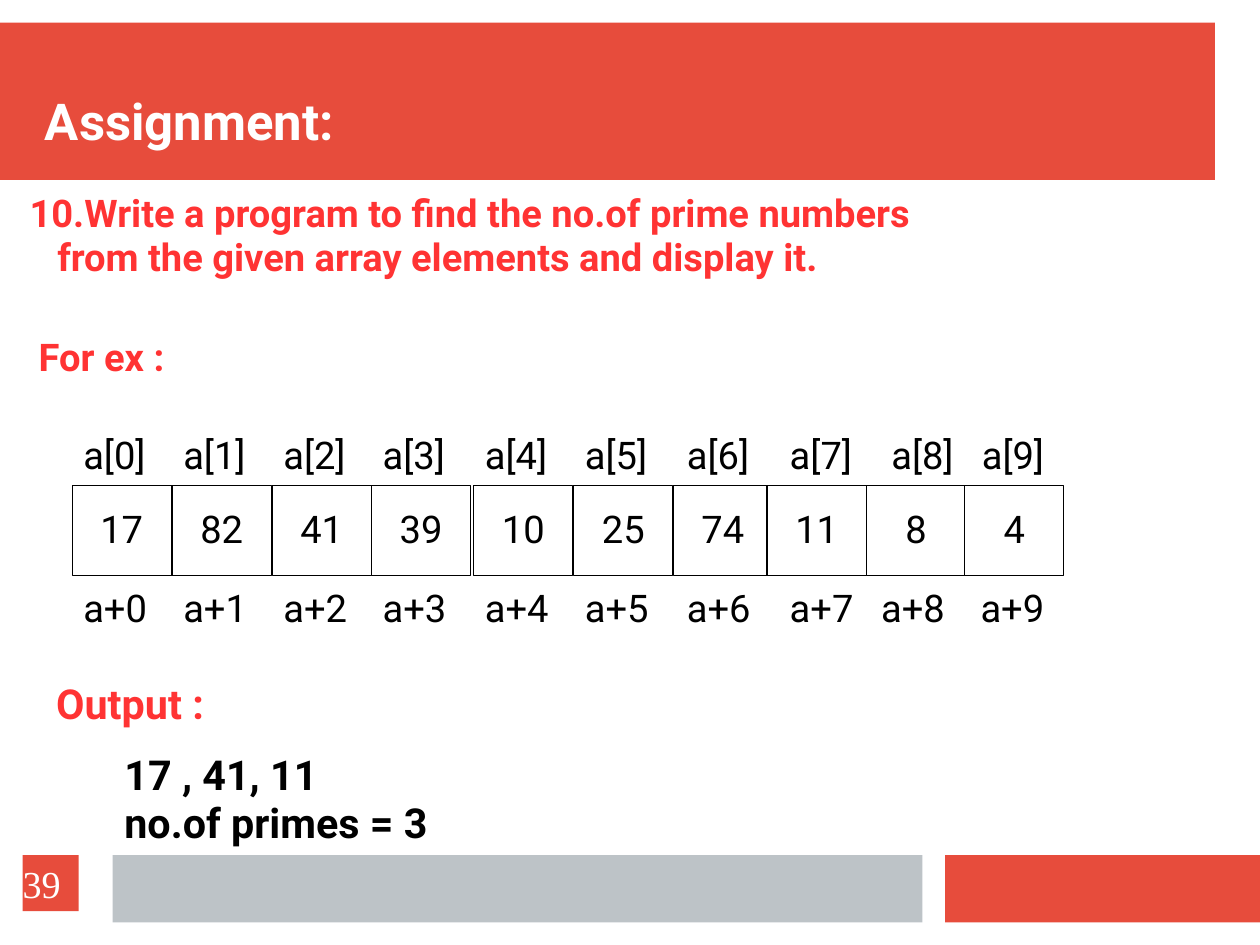
from pptx import Presentation
from pptx import util as u
from pptx.dml.color import RGBColor
from pptx.enum import shapes, text

RED, GREY, ACCENT = "E74C3C", "BDC3C7", "FF3333"
BLACK, WHITE = "000000", "FFFFFF"
CENTER = text.PP_ALIGN.CENTER
MIDDLE, BOTTOM = text.MSO_ANCHOR.MIDDLE, text.MSO_ANCHOR.BOTTOM

VALUES = [17, 82, 41, 39, 10, 25, 74, 11, 8, 4]
CELL_X = [0, 63, 126, 188.6, 253, 316, 378.7, 437.8, 500.4, 562.3]
INDEX_X = CELL_X[:6] + [380.2, 445, 509, 566]
ADDRESS_X = INDEX_X[:8] + [502.6, 565.2]


def color(value):
    return RGBColor.from_string(value)


def write(sp, lines, fmt, inset=(7.2, 3.6), anchor=text.MSO_ANCHOR.TOP,
          align=text.PP_ALIGN.LEFT, spacing=0.97, indents=()):
    tf = sp.text_frame
    dx, dy = map(u.Pt, inset)
    frame = {"word_wrap": True, "vertical_anchor": anchor, "margin_left": dx,
             "margin_right": dx, "margin_top": dy, "margin_bottom": dy}
    for name, value in frame.items():
        setattr(tf, name, value)
    font = {"name": "Roboto", "size": u.Pt(24), "bold": False, **fmt}
    tint = font.pop("color", BLACK)
    for i, line in enumerate(lines):
        p = tf.paragraphs[0] if i == 0 else tf.add_paragraph()
        p.alignment, p.line_spacing = align, spacing
        if i < len(indents):
            p._p.get_or_add_pPr().set("marL", str(u.Pt(indents[i])))
        r = p.add_run()
        r.text = line
        for name, value in font.items():
            setattr(r.font, name, value)
        r.font.color.rgb = color(tint)


def textbox(s, box, lines, fmt, **layout):
    write(s.shapes.add_textbox(*map(u.Pt, box)), lines, fmt, **layout)


def rectangle(s, box, fill, line=None):
    sp = s.shapes.add_shape(shapes.MSO_SHAPE.RECTANGLE, *map(u.Pt, box))
    sp.shadow.inherit = False
    sp.fill.solid()
    sp.fill.fore_color.rgb = color(fill)
    if line:
        sp.line.color.rgb = color(line)
        sp.line.width = u.Pt(0.75)
    else:
        sp.line.fill.background()
    return sp


def header(s, x, y, w, h):
    rectangle(s, (x, y, w, h), RED)
    textbox(s, (x + 28.3, y + 14, w - 32, 68), ["Assignment:"],
            {"size": u.Pt(32), "bold": True, "color": WHITE},
            inset=(0, 0), anchor=BOTTOM)


def question(s, x, y, w):
    fmt = {"bold": True, "color": ACCENT}
    textbox(s, (x, y, w, 64),
            ["10.Write a program to find the no.of prime numbers",
             "from the given array elements and display it."],
            fmt, indents=(0, 17.5))
    textbox(s, (x + 5.8, y + 90.7, 125, 36), ["For ex :"], fmt)


def array(s, x, y):
    for i, value in enumerate(VALUES):
        sp = rectangle(s, (x + CELL_X[i], y + 36, 62.5, 56.7), WHITE, BLACK)
        write(sp, [str(value)], {}, anchor=MIDDLE, align=CENTER)
        textbox(s, (x + INDEX_X[i], y, 64, 36), [f"a[{i}]"], {})
        textbox(s, (x + ADDRESS_X[i], y + 96.5, 64, 36), [f"a+{i}"], {})


def output(s, x, y):
    fmt = {"size": u.Pt(26), "bold": True}
    textbox(s, (x, y, 145, 38), ["Output :"], {**fmt, "color": ACCENT})
    textbox(s, (x + 43, y + 44.6, 258, 68),
            ["17 , 41, 11", "no.of primes = 3"], fmt)


def footer(s, y, w, h):
    rectangle(s, (w - 198.4, y, 198.4, h), RED)
    rectangle(s, (70.9, y, 510.2, h), GREY)
    sp = rectangle(s, (14.2, y, 35.4, 35.4), RED)
    write(sp, ["39"], {"name": "Times New Roman", "color": WHITE},
          inset=(0, 0), anchor=MIDDLE, spacing=1.0)


def main():
    prs = Presentation()
    prs.slide_width, prs.slide_height = u.Pt(793.7), u.Pt(595.3)
    s = prs.slides.add_slide(prs.slide_layouts[6])
    header(s, 0, 14.2, 765.4, 99.2)
    question(s, 11.5, 117.4, 688)
    array(s, 45.4, 270)
    output(s, 28.3, 425.5)
    footer(s, 538.6, 793.7, 42.5)
    prs.save("out.pptx")


if __name__ == "__main__":
    main()
